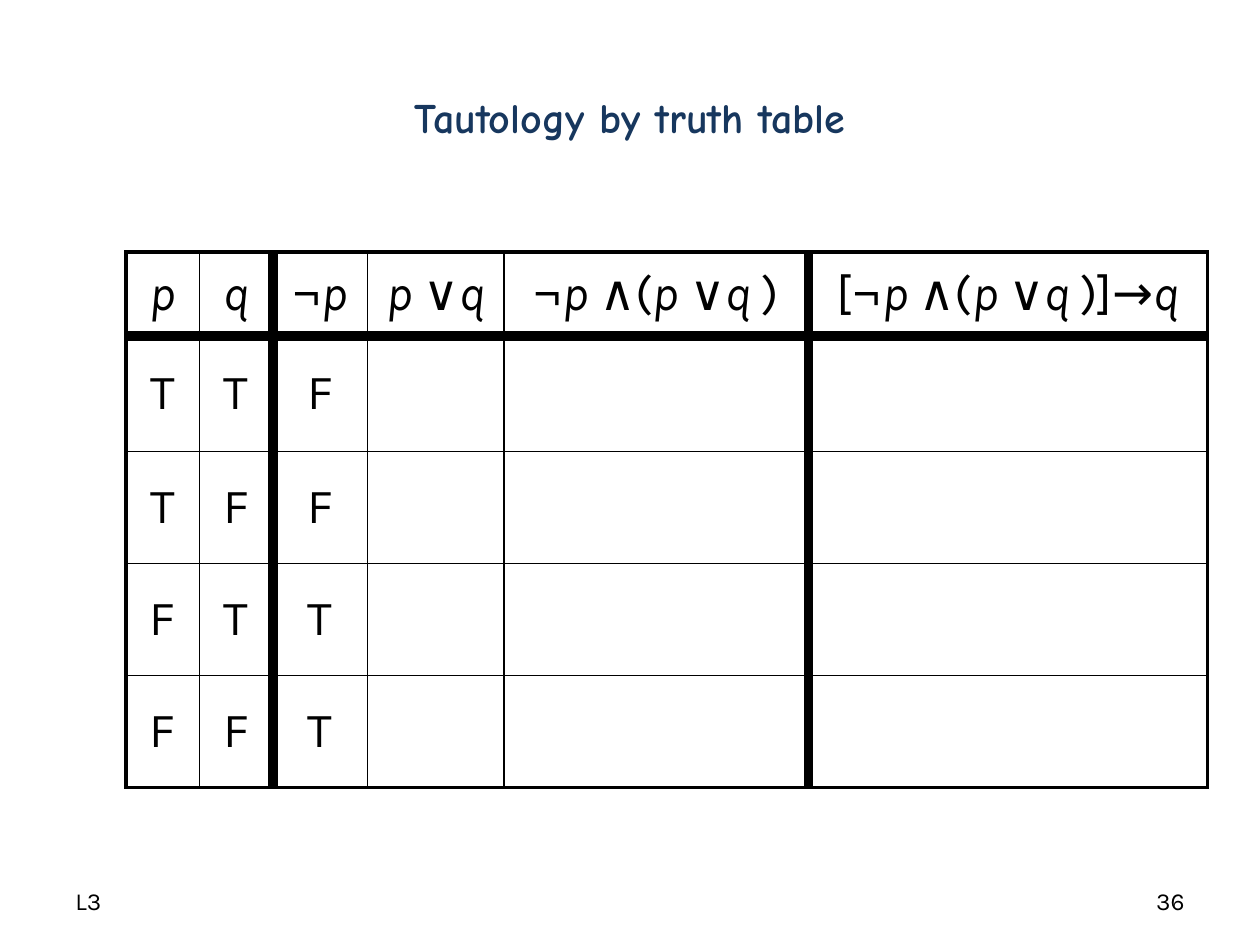
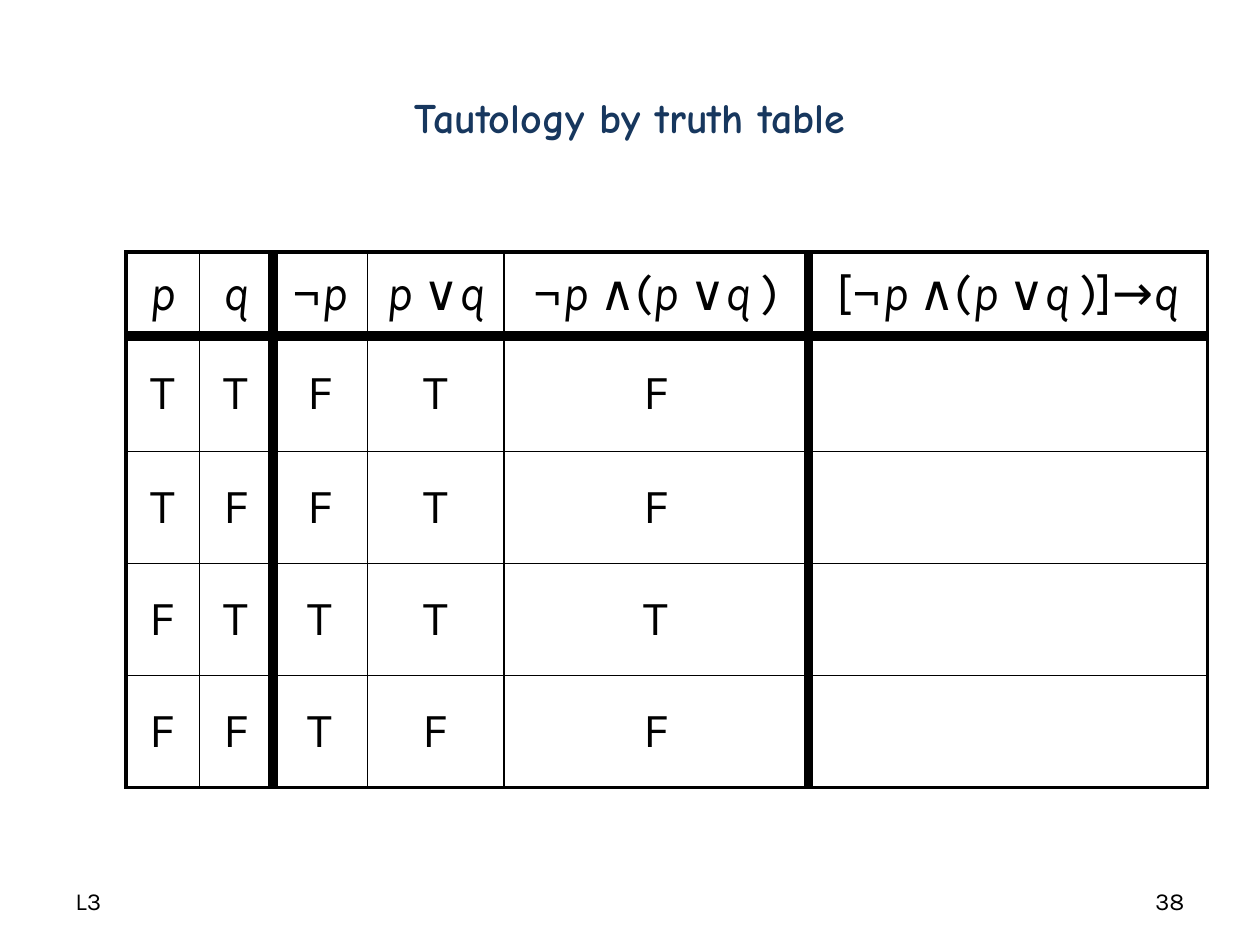
from itertools import groupby, pairwise

from lxml.etree import SubElement as Sub
from pptx import Presentation
from pptx.dml.color import RGBColor as RGB
from pptx.enum.text import MSO_ANCHOR as Anchor, PP_ALIGN as Align
from pptx.oxml import parse_xml
from pptx.oxml.ns import nsdecls, qn
from pptx.util import Pt

HUES = {"ink": "000000", "title": "17375E"}
BODY, HEAD, SIGN = "Karla", "Comic Neue", "Times New Roman"

COLS = (42, 42, 54, 78, 174, 228)
ROWS = (48, 66, 64, 64, 64)
# Line widths of the table grid, one per column edge and row edge
XEDGE = (2.25, 1, 6, 1, 1, 6, 2.25)
YEDGE = (2.25, 6, 0.25, 1, 1, 2.25)

TERMS = ("p", "q", "¬p", "p ∨q", "¬p ∧(p ∨q )", "[¬p ∧(p ∨q )]→q")
TRUTH = ("TTFTF", "TFFTF", "FTTTT", "FFTFF")


def write(para, text, font=BODY, size=28, hue="ink", bold=False, ital=False):
    """Add one run of formatted text to a paragraph."""
    run = para.add_run()
    run.text = text
    face = run.font
    face.name, face.size = font, Pt(size)
    face.bold, face.italic = bold, ital
    face.color.rgb = RGB.from_string(HUES[hue])


def kind(char):
    """Tell a negation sign, a variable and any other sign apart."""
    return "neg" if char == "¬" else "var" if char in "pq " else "sign"


def logic(para, term):
    """Write a formula with slanted variables and bold negations."""
    looks = {"neg": {"font": SIGN, "bold": True, "ital": True},
             "var": {"ital": True}, "sign": {}}
    for name, chars in groupby(term, kind):
        write(para, "".join(chars), **looks[name])


def edge(cell, side, width, spot):
    """Draw one border of a cell."""
    line = parse_xml(
        f'<a:ln{side} {nsdecls("a")} w="{Pt(width)}" cap="flat" cmpd="sng">'
        f'<a:solidFill><a:srgbClr val="{HUES["ink"]}"/></a:solidFill>'
        f'<a:prstDash val="solid"/></a:ln{side}>')
    cell._tc.get_or_add_tcPr().insert(spot, line)


class Deck:
    """Holds the presentation, its style and the current slide."""

    def __init__(self):
        """Start an empty deck of 10 by 7.5 inches."""
        self.prs = Presentation()
        self.prs.slide_width, self.prs.slide_height = Pt(720), Pt(540)
        self.slide = None

    def page(self, num):
        """Add a slide with its footer, number and title."""
        self.slide = self.prs.slides.add_slide(self.prs.slide_layouts[6])
        self.text((36, 500.5, 168, 28.75), "L3", size=14)
        self.text((516, 500.5, 168, 28.75), str(num), Align.RIGHT, size=14)
        self.text((36, 21.5, 648, 90), "Tautology by truth table",
                  Align.CENTER, font=HEAD, size=24, hue="title", bold=True)

    def text(self, box, words, align=Align.LEFT, **look):
        """Add a text box with one line, centred in height."""
        frame = self.slide.shapes.add_textbox(*map(Pt, box)).text_frame
        frame.word_wrap = True
        frame.vertical_anchor = Anchor.MIDDLE
        para = frame.paragraphs[0]
        para.alignment = align
        write(para, words, **look)

    def table(self, known):
        """Add the truth table with the first known columns filled in."""
        grid = self.slide.shapes.add_table(
            len(ROWS), len(COLS), Pt(72), Pt(144),
            Pt(sum(COLS)), Pt(sum(ROWS))).table
        grid.first_row = grid.horz_banding = False
        for col, width in zip(grid.columns, COLS):
            col.width = Pt(width)
        for row, height in zip(grid.rows, ROWS):
            row.height = Pt(height)
        for y, (top, base) in enumerate(pairwise(YEDGE)):
            for x, (left, right) in enumerate(pairwise(XEDGE)):
                cell = grid.cell(y, x)
                self.cell(cell, (left, right, top, base))
                para = cell.text_frame.paragraphs[0]
                if y == 0:
                    logic(para, TERMS[x])
                elif x < known:
                    write(para, TRUTH[y - 1][x])

    def cell(self, cell, widths):
        """Clear a cell's fill, set its borders and its paragraph."""
        cell.fill.background()
        for spot, (side, width) in enumerate(zip("LRTB", widths)):
            edge(cell, side, width, spot)
        cell.vertical_anchor = Anchor.MIDDLE
        para = cell.text_frame.paragraphs[0]
        para.alignment = Align.CENTER
        gap = Sub(para._p.get_or_add_pPr(), qn("a:spcBef"))
        Sub(gap, qn("a:spcPct"), val="20000")


deck = Deck()
for num, known in ((36, 3), (38, 5)):
    deck.page(num)
    deck.table(known)
deck.prs.save("out.pptx")
